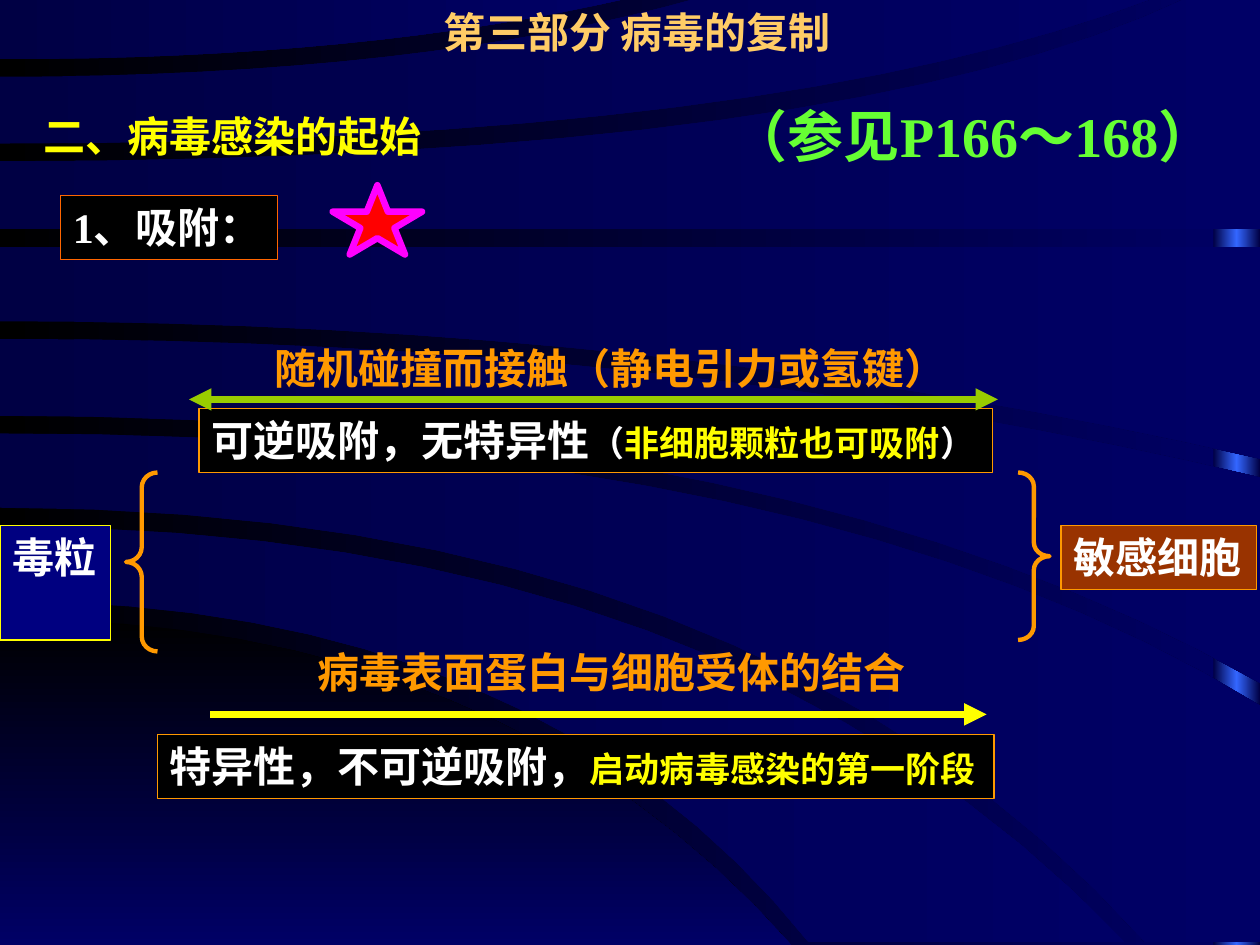
from copy import deepcopy
from dataclasses import dataclass

from pptx import Presentation
from pptx.dml.color import RGBColor
from pptx.enum.shapes import MSO_CONNECTOR as Connector
from pptx.enum.shapes import MSO_SHAPE as Preset
from pptx.enum.text import MSO_ANCHOR as Anchor
from pptx.enum.text import MSO_AUTO_SIZE as AutoSize
from pptx.enum.text import PP_ALIGN as Align
from pptx.oxml.ns import qn
from pptx.oxml.xmlchemy import OxmlElement
from pptx.util import Inches, Pt


@dataclass(frozen=True)
class Theme:
    """Colours, type sizes and line widths of the slide."""
    font: str = "Times New Roman"
    body: int = 24
    note: int = 20
    reference: int = 32
    thin: float = 0.75
    brace: float = 2.5
    star: float = 3.75
    arrow: float = 4.25
    black: str = "000000"
    white: str = "FFFFFF"
    night: str = "000044"
    navy: str = "000066"
    glow: str = "3366FF"
    virion: str = "000080"
    cell: str = "993300"
    gold: str = "FFCC66"
    lime: str = "66FF33"
    olive: str = "99CC00"
    yellow: str = "FFFF00"
    orange: str = "FF9900"
    vermilion: str = "FF6600"
    red: str = "FF0000"
    magenta: str = "FF00FF"


@dataclass(frozen=True)
class Edge:
    """A curve that leaves the left side level and bends to its end."""
    start_y: float
    bend_x: float
    end_x: float
    end_y: float

    def points(self, steps=16):
        """Sample the quadratic curve from left to right."""
        for step in range(steps + 1):
            t = step / steps
            yield (2 * t * (1 - t) * self.bend_x + t * t * self.end_x,
                   self.start_y + t * t * (self.end_y - self.start_y))


THEME = Theme()
HILL = Edge(4.91, 4, 6.28, 7.5), Edge(7.5, 3, 6.28, 7.5)
RIBBONS = [
    (Edge(4.18, 5.8, 8.93, 7.48), Edge(4.77, 4.25, 6.42, 7.48)),
    (Edge(3.44, 6.5, 10, 5.6), Edge(4.03, 6, 9.09, 7.48)),
    (Edge(2.69, 5.4, 10, 3.79), Edge(3.3, 6.3, 10, 5.42)),
    (Edge(1.96, 5, 10, 1.96), Edge(2.55, 5.3, 10, 3.64)),
    (Edge(1.28, 6.7, 9.43, -0.02), Edge(1.82, 5, 10, 1.82)),
    (Edge(0.61, 3.35, 5.56, -0.02), Edge(1.14, 6.15, 9.17, -0.02)),
    (Edge(-0.02, 2.5, 5.01, -0.02), Edge(0.47, 2.9, 5.01, -0.02)),
]


def rgb(code):
    """Turn a hex code into a colour."""
    return RGBColor.from_string(code)


def set_gradient(owner, fill, colours, angle=0):
    """Fill the owner with evenly spaced colour stops."""
    fill.gradient()
    fill.gradient_angle = angle
    stops = next(owner.iter(qn("a:gsLst")))
    while len(stops) < len(colours):
        stops.append(deepcopy(stops[0]))
    for index, (stop, colour) in enumerate(zip(fill.gradient_stops, colours)):
        stop.color.rgb = rgb(colour)
        stop.position = index / (len(colours) - 1)


def add_ribbon(slide, edges, colours, angle=0):
    """Draw a gradient band between an upper and a lower edge."""
    upper, lower = edges
    inner, outer = sorted(edges, key=lambda edge: edge.end_x)
    outline = [*upper.points(), (outer.end_x, inner.end_y), *reversed(list(lower.points()))]
    corners = [(Inches(x), Inches(y)) for x, y in outline]
    builder = slide.shapes.build_freeform(*corners[0], scale=1.0)
    builder.add_line_segments(corners[1:], close=True)
    ribbon = builder.convert_to_shape()
    ribbon.shadow.inherit = False
    ribbon.line.fill.background()
    set_gradient(ribbon._element, ribbon.fill, colours, angle)


def add_preset(slide, preset, place, fill=None, line=None, width=THEME.thin):
    """Draw a preset shape with flat fill and outline."""
    shape = slide.shapes.add_shape(preset, *map(Inches, place))
    shape.shadow.inherit = False
    if fill:
        shape.fill.solid()
        shape.fill.fore_color.rgb = rgb(fill)
    else:
        shape.fill.background()
    if line:
        shape.line.color.rgb = rgb(line)
        shape.line.width = Pt(width)
    else:
        shape.line.fill.background()
    return shape


def write(shape, *parts, wrap=False, grow=True):
    """Write (text, size, colour) parts as one left-aligned paragraph."""
    frame = shape.text_frame
    frame.word_wrap = wrap
    frame.auto_size = AutoSize.SHAPE_TO_FIT_TEXT if grow else AutoSize.NONE
    frame.vertical_anchor = Anchor.TOP
    paragraph = frame.paragraphs[0]
    paragraph.alignment = Align.LEFT
    for text, size, colour in parts:
        run = paragraph.add_run()
        run.text = text
        run.font.name, run.font.size, run.font.bold = THEME.font, Pt(size), True
        run.font.color.rgb = rgb(colour)


def add_label(slide, place, text, colour, size=THEME.body, wrap=False):
    """Place free-standing text."""
    write(slide.shapes.add_textbox(*map(Inches, place)), (text, size, colour), wrap=wrap)


def add_box(slide, place, fill, line, *parts, **layout):
    """Draw an outlined rectangle with text."""
    write(add_preset(slide, Preset.RECTANGLE, place, fill, line), *parts, **layout)


def add_arrow(slide, left, right, y, colour, ends):
    """Draw a thick level arrow with the given ends."""
    arrow = slide.shapes.add_connector(Connector.STRAIGHT, *map(Inches, (left, y, right, y)))
    arrow.line.color.rgb = rgb(colour)
    arrow.line.width = Pt(THEME.arrow)
    for end in ends:
        tip = OxmlElement(end)
        tip.set("type", "triangle")
        arrow.line._get_or_add_ln().append(tip)
    arrow._element.spPr.append(OxmlElement("a:effectLst"))


def add_backdrop(slide):
    """Paint the background, edge stripe, hill and ribbons."""
    set_gradient(slide._element, slide.background.fill, (THEME.black, THEME.navy))
    stripe = add_preset(slide, Preset.RECTANGLE, (9.63, 0, 0.37, 7.5))
    set_gradient(stripe._element, stripe.fill, (THEME.night, THEME.glow, THEME.night))
    add_ribbon(slide, HILL, (THEME.black, THEME.navy), angle=270)
    for edges in RIBBONS:
        add_ribbon(slide, edges, (THEME.night, THEME.navy))


def main():
    """Build and save the slide."""
    t = THEME
    deck = Presentation()
    deck.slide_width, deck.slide_height = Inches(10), Inches(7.5)
    slide = deck.slides.add_slide(deck.slide_layouts[6])
    add_backdrop(slide)

    add_label(slide, (3.42, 0, 3.41, 0.51), "第三部分 病毒的复制", t.gold)
    add_label(slide, (5.71, 0.76, 4.07, 0.64), "（参见P166～168）", t.lime, t.reference, wrap=True)
    add_label(slide, (0.25, 0.83, 3.22, 0.5), "二、病毒感染的起始", t.yellow)
    add_box(slide, (0.48, 1.55, 1.72, 0.51), t.black, t.vermilion, ("1、吸附：", t.body, t.white))
    add_box(slide, (0, 4.17, 0.88, 0.91), t.virion, t.yellow, ("毒粒", t.body, t.white),
            wrap=True, grow=False)
    add_box(slide, (8.42, 4.17, 1.55, 0.51), t.cell, t.orange, ("敏感细胞", t.body, t.white))

    add_label(slide, (2.08, 2.67, 5.56, 0.5), "随机碰撞而接触（静电引力或氢键）", t.orange)
    add_box(slide, (1.58, 3.24, 6.3, 0.51), t.black, t.orange,
            ("可逆吸附，无特异性", t.body, t.white), ("（", t.note, t.white),
            ("非细胞颗粒也可吸附", t.note, t.yellow), ("）", t.note, t.white))
    add_arrow(slide, 1.5, 7.92, 3.17, t.olive, ("a:headEnd", "a:tailEnd"))

    for preset, left, height, curl in ((Preset.LEFT_BRACE, 1, 1.42, 0.47),
                                       (Preset.RIGHT_BRACE, 8.08, 1.33, 0.44)):
        brace = add_preset(slide, preset, (left, 3.75, 0.25, height), line=t.orange, width=t.brace)
        brace.adjustments[0] = curl

    add_arrow(slide, 1.67, 7.83, 5.67, t.yellow, ("a:tailEnd",))
    add_label(slide, (2.42, 5.08, 4.89, 0.5), "病毒表面蛋白与细胞受体的结合", t.orange)
    add_box(slide, (1.25, 5.83, 6.64, 0.51), t.black, t.orange,
            ("特异性，不可逆吸附，", t.body, t.white), ("启动病毒感染的第一阶段", t.note, t.yellow))
    add_preset(slide, Preset.STAR_5_POINT, (2.64, 1.47, 0.71, 0.55), t.red, t.magenta, t.star)
    deck.save("out.pptx")


if __name__ == "__main__":
    main()
